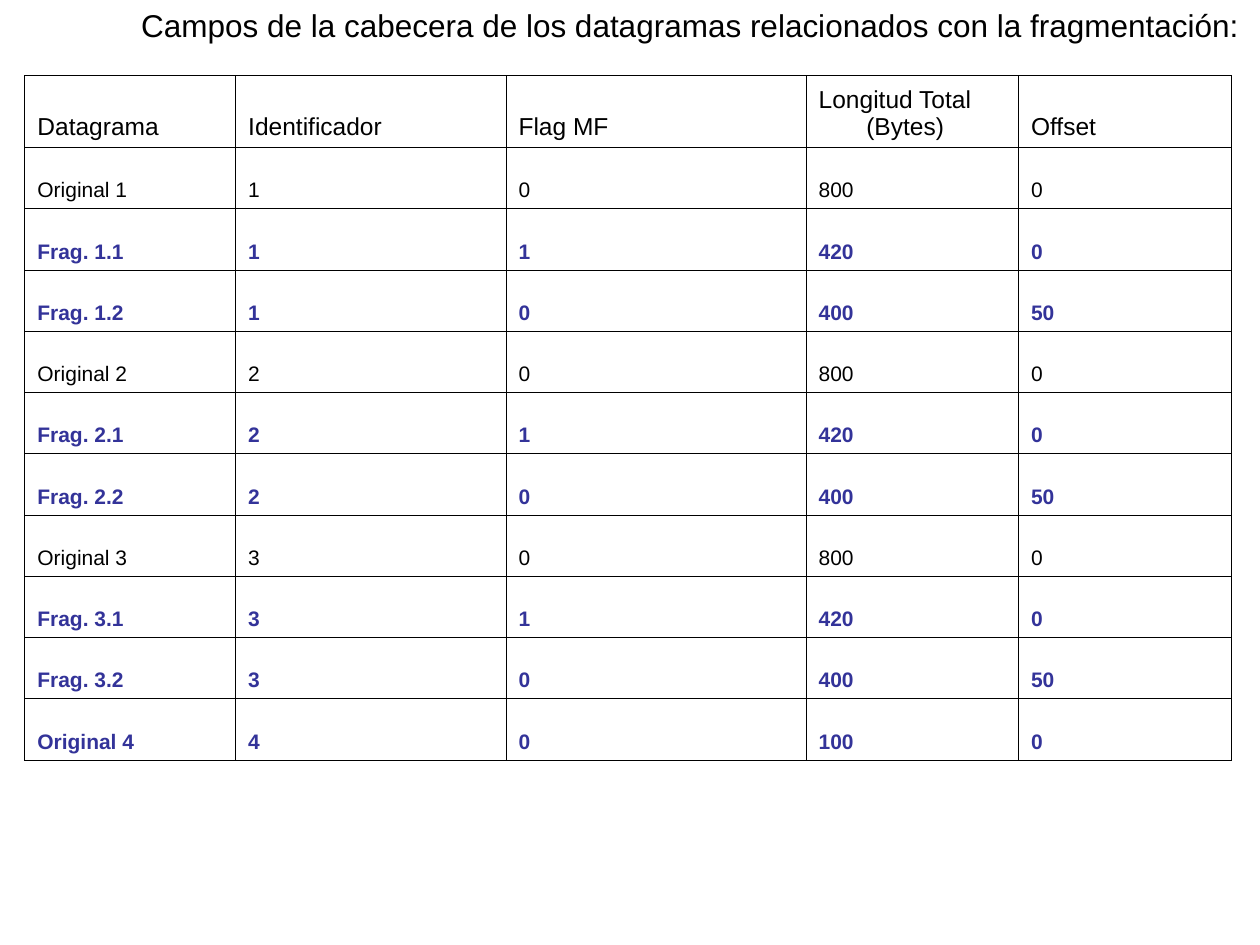
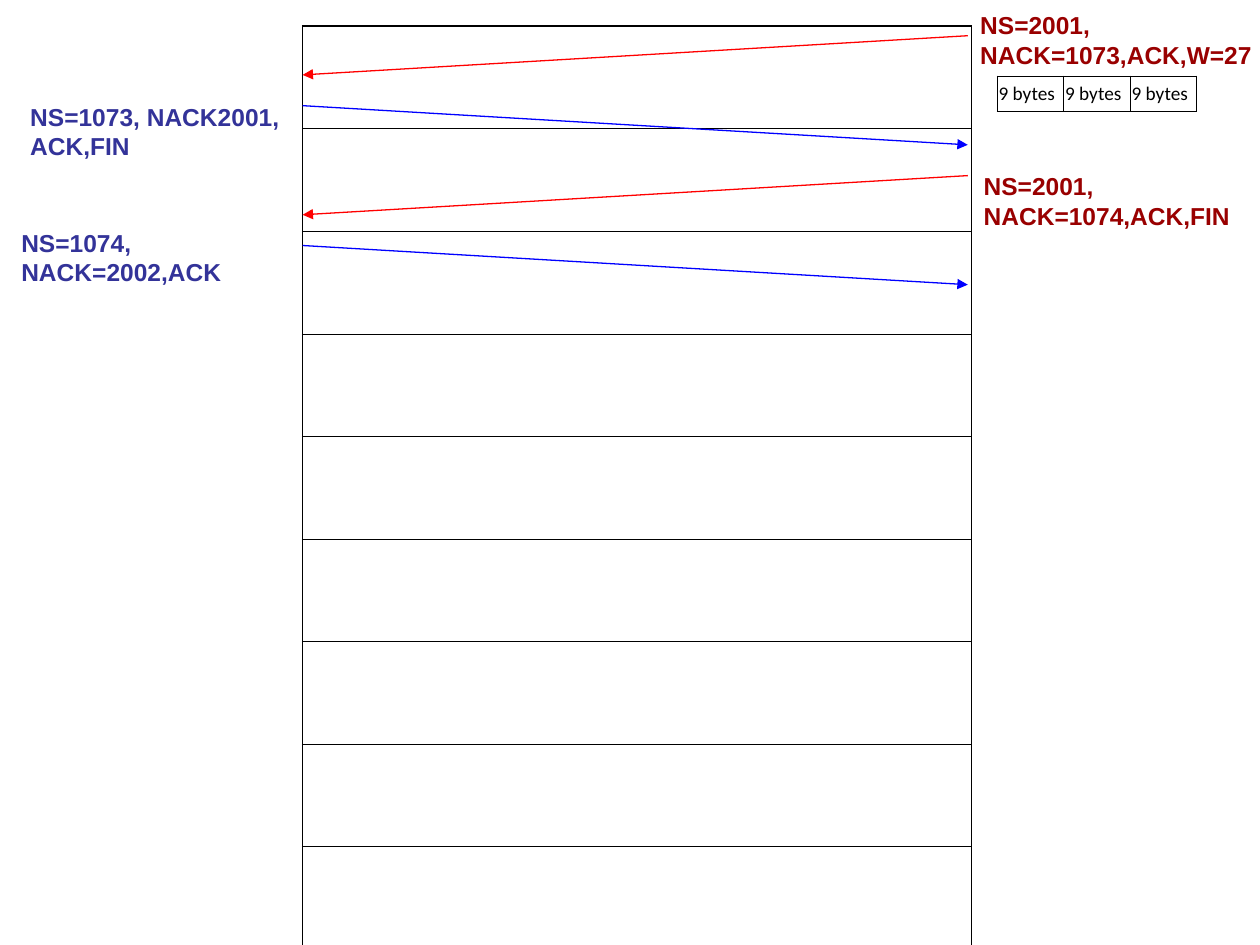
import pptx
import pptx.dml.color
import pptx.enum.dml
import pptx.enum.shapes
import pptx.enum.text
import pptx.oxml.ns
import pptx.util
from lxml import etree

Cm = pptx.util.Cm
Pt = pptx.util.Pt
RGB = pptx.dml.color.RGBColor
ANCHOR = pptx.enum.text.MSO_ANCHOR
BLACK = RGB(0x00, 0x00, 0x00)
INDIGO = RGB(0x33, 0x33, 0x99)
MAROON = RGB(0x99, 0x00, 0x00)
RED = RGB(0xFF, 0x00, 0x00)
BLUE = RGB(0x00, 0x00, 0xFF)

TITLE = "Campos de la cabecera de los datagramas relacionados con la fragmentación:"
HEAD = ["Datagrama", "Identificador", "Flag MF", "Longitud Total (Bytes)", "Offset"]
ROWS = [HEAD]
for num in "123":
    ROWS += [
        [f"Original {num}", num, "0", "800", "0"],
        [f"Frag. {num}.1", num, "1", "420", "0"],
        [f"Frag. {num}.2", num, "0", "400", "50"],
    ]
ROWS.append(["Original 4", "4", "0", "100", "0"])
KEPT = {"Original 1", "Original 2", "Original 3"}

LABELS = [
    (19.51, 0.08, 6.12, ["NS=2001, NACK=1073,ACK,W=27"], MAROON),
    (19.58, 3.33, 6.12, ["NS=2001, NACK=1074,ACK,FIN"], MAROON),
    (0.18, 4.47, 6.12, ["NS=1074, NACK=2002,ACK"], INDIGO),
    (0.36, 1.93, 6.12, ["NS=1073, NACK2001,", "ACK,FIN"], INDIGO),
]


def add(parent, tag, **attrs):
    """Append a drawing element to a parent and return it."""
    return etree.SubElement(parent, pptx.oxml.ns.qn(tag), attrs)


def style(para, size, color, bold=False, face="Arial"):
    """Set the font of one paragraph."""
    font = para.font
    font.name, font.size, font.bold = face, Pt(size), bold
    font.color.rgb = color


def edge(cell, **widths):
    """Draw black borders of the given point widths and leave the cell unfilled."""
    props = cell._tc.get_or_add_tcPr()
    for side in "LRTB":
        line = add(props, f"a:ln{side}", w=str(Pt(widths[side])))
        add(add(line, "a:solidFill"), "a:srgbClr", val=str(BLACK))
    cell.fill.background()


def grid(slide, left, top, cols, rows):
    """Add a plain table with the given column widths and row heights."""
    frame = slide.shapes.add_table(
        len(rows), len(cols), Cm(left), Cm(top), Cm(sum(cols)), Cm(sum(rows)))
    table = frame.table
    table.first_row = table.horz_banding = False
    for col, width in zip(table.columns, cols):
        col.width = Cm(width)
    for row, height in zip(table.rows, rows):
        row.height = Cm(height)
    return table


def fields(slide, left, top):
    """Fill the table of datagram header fields."""
    table = grid(slide, left, top, [4.25, 5.45, 6.05, 4.28, 4.3],
                 [1.45] + [1.235] * (len(ROWS) - 1))
    for row, texts in zip(table.rows, ROWS):
        head = texts is HEAD
        plain = head or texts[0] in KEPT
        for cell, text in zip(row.cells, texts):
            cell.text = text
            cell.vertical_anchor = ANCHOR.BOTTOM
            para = cell.text_frame.paragraphs[0]
            props = para._p.get_or_add_pPr()
            props.set("marL", str(Cm(0.96)))
            props.set("indent", str(Cm(-0.96)))
            style(para, 14 if head else 12, BLACK if plain else INDIGO, not plain)
            edge(cell, L=0.45, R=0.45, T=0.45, B=0.45)


def ladder(slide, left, top, width, count=12):
    """Draw the column of empty time slots."""
    table = grid(slide, left, top, [width], [1.44] * count)
    for i in range(count):
        cell = table.cell(i, 0)
        edge(cell, L=1.08, R=0.45, T=0.45 if i else 1.08,
             B=0.45 if i < count - 1 else 1.08)
        end = add(cell.text_frame.paragraphs[0]._p, "a:endParaRPr", sz="4600")
        add(end, "a:latin", typeface="Arial")


def arrow(slide, start, end, color):
    """Draw one message arrow."""
    line = slide.shapes.add_connector(
        pptx.enum.shapes.MSO_CONNECTOR.STRAIGHT, *map(Cm, start + end))
    line.line.color.rgb = color
    line.line.width = Pt(0.75)
    add(line.line._get_or_add_ln(), "a:tailEnd", type="triangle")
    add(line._element.spPr, "a:effectLst")


def flow(slide, left, top, width, step=1.41, drop=0.79):
    """Draw alternating arrows between the two hosts."""
    right = left + width
    for i in range(4):
        y = top + i * step
        if i % 2:
            arrow(slide, (left, y), (right, y + drop), BLUE)
        else:
            arrow(slide, (right, y), (left, y + drop), RED)


def label(slide, left, top, width, lines, color):
    """Place one segment label."""
    box = slide.shapes.add_textbox(Cm(left), Cm(top), Cm(width), Cm(1.45))
    frame = box.text_frame
    frame.word_wrap = True
    frame.text = "\n".join(lines)
    for para in frame.paragraphs:
        style(para, 14, color, True)


def chunks(slide, left, top):
    """Draw the strip of byte blocks."""
    table = grid(slide, left, top, [1.34] * 3, [0.53])
    for cell in table.iter_cells():
        cell.text = "9 bytes"
        cell.margin_left = cell.margin_right = Cm(0.03)
        cell.vertical_anchor = ANCHOR.BOTTOM
        style(cell.text_frame.paragraphs[0], 11, BLACK, face="Calibri")
        edge(cell, L=0.23, R=0.23, T=0.23, B=0.23)


def heading(slide, left, top, width, height):
    """Place and format the slide title."""
    title = slide.shapes.title
    title.left, title.top = Cm(left), Cm(top)
    title.width, title.height = Cm(width), Cm(height)
    frame = title.text_frame
    frame.text = TITLE
    frame.word_wrap = False
    frame.auto_size = pptx.enum.text.MSO_AUTO_SIZE.NONE
    frame.vertical_anchor = ANCHOR.TOP
    para = frame.paragraphs[0]
    para.alignment = pptx.enum.text.PP_ALIGN.LEFT
    style(para, 18, BLACK)


def main():
    """Build both slides and save them."""
    deck = pptx.Presentation()
    deck.slide_width, deck.slide_height = Cm(25.4), Cm(19.05)
    slide = deck.slides.add_slide(deck.slide_layouts[5])
    heading(slide, 2.59, 0, 22.81, 1.02)
    fields(slide, 0.5, 1.52)
    slide = deck.slides.add_slide(deck.slide_layouts[6])
    ladder(slide, 6.1, 0.53, 13.49)
    flow(slide, 6.1, 0.72, 13.41)
    for item in LABELS:
        label(slide, *item)
    chunks(slide, 20.1, 1.53)
    deck.save("out.pptx")


if __name__ == "__main__":
    main()
